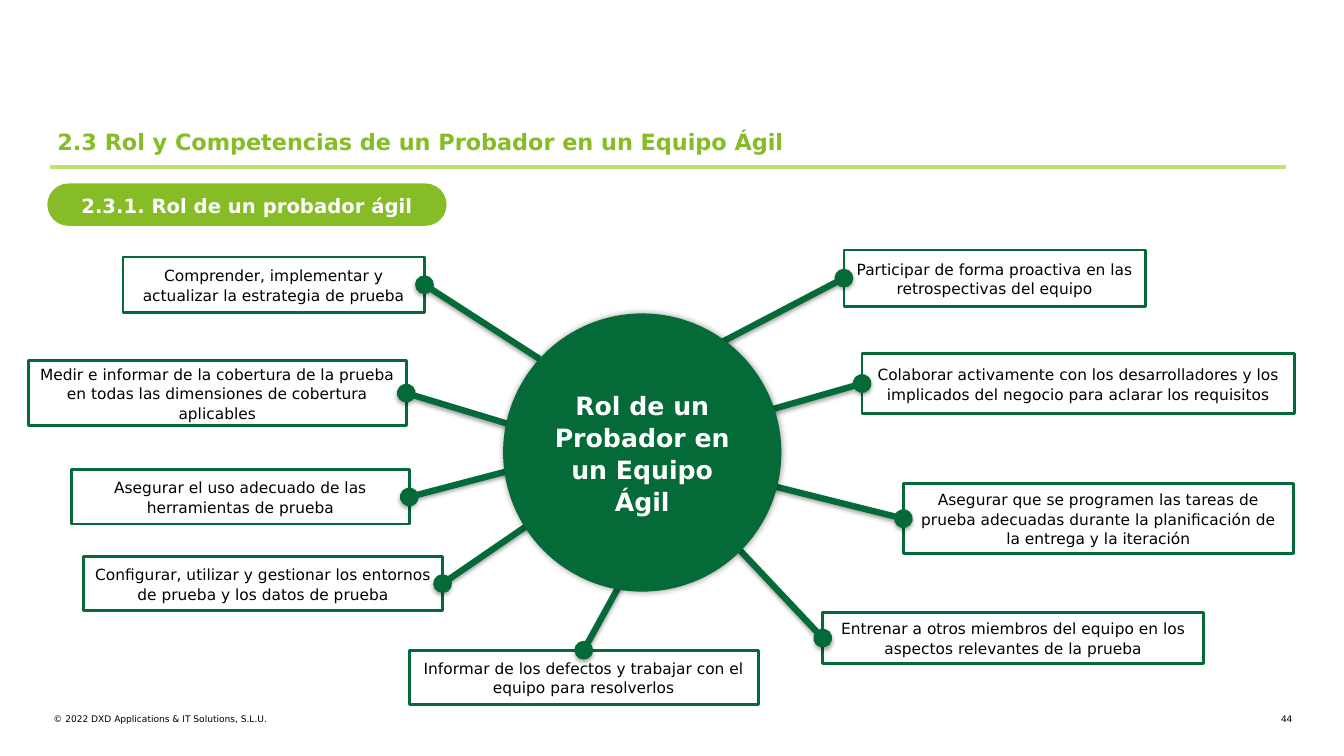
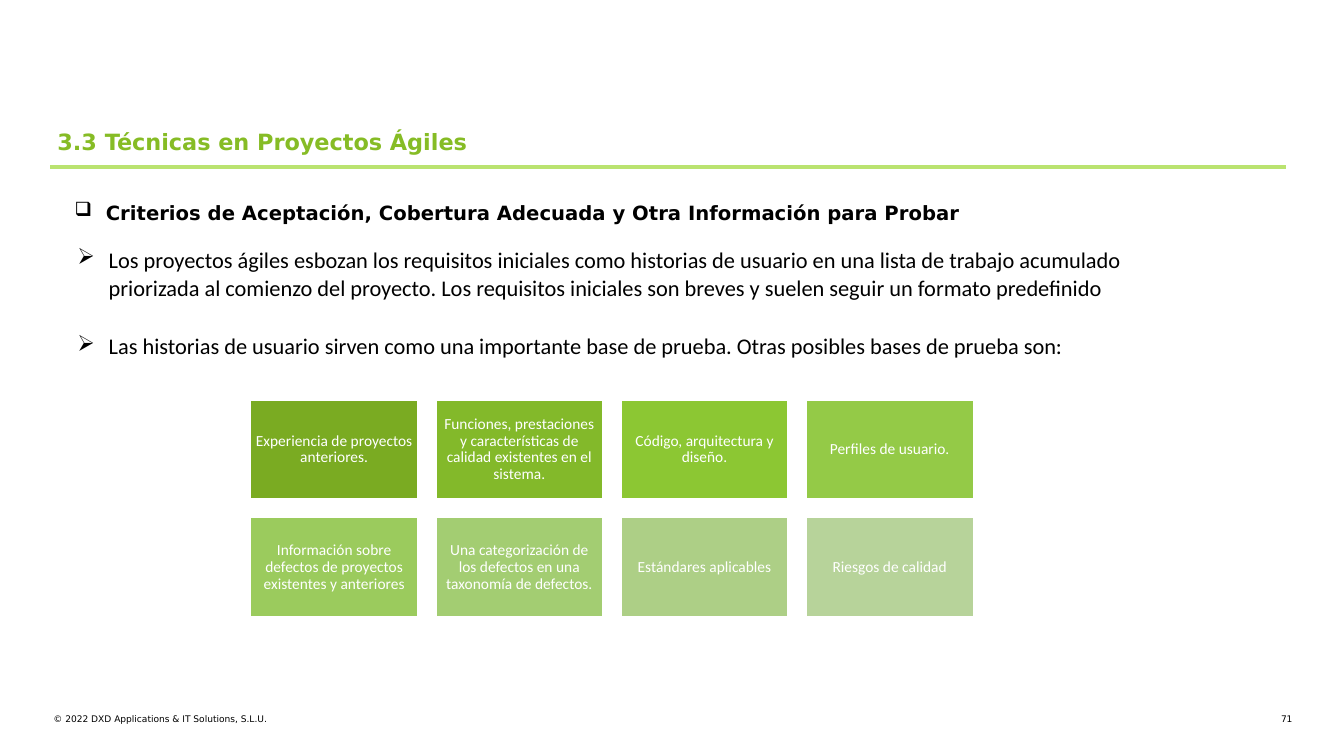
from pptx import Presentation
from pptx.dml.color import RGBColor
from pptx.enum.shapes import MSO_CONNECTOR, MSO_SHAPE
from pptx.enum.text import MSO_ANCHOR, MSO_AUTO_SIZE, PP_ALIGN
from pptx.oxml.ns import qn
from pptx.util import Pt
from lxml.etree import SubElement

PX = 9144  # EMU per px, 100 px to the inch
COLORS = {
    "white": "FFFFFF", "black": "000000", "lime": "86BC25",
    "rule": "BAE370", "forest": "046A38",
}
TILE_FILLS = ["7AAB22", "83B92A", "8CC733", "94CA47",
              "9BCB5D", "A3CD72", "ADCF86", "B7D39A"]
SANS, BODY = "DejaVu Sans", "Calibri"
CENTER = {"alignment": PP_ALIGN.CENTER, "line_spacing": 1.06}
TITLE_FONT = {"name": SANS, "size": Pt(16), "bold": True}
FOOTER_FONT = {"name": SANS, "size": Pt(6.5)}
LABEL_FONT = {"name": SANS, "size": Pt(11)}
HEAD_FONT = {"name": SANS, "size": Pt(14), "bold": True}
HUB_FONT = {"name": SANS, "size": Pt(18), "bold": True}
TILE_FONT = {"name": BODY, "size": Pt(11)}
BODY_FONT = {"name": BODY, "size": Pt(16)}


def emu(*lengths):
    return [round(v * PX) for v in lengths]


def rgb(color):
    return RGBColor.from_string(COLORS.get(color, color))


def apply(target, formats):
    for name, value in formats.items():
        setattr(target, name, value)


def set_frame(sp, inset, anchor):
    x, y = emu(*inset)
    apply(sp.text_frame, {
        "word_wrap": True, "auto_size": MSO_AUTO_SIZE.NONE,
        "vertical_anchor": anchor, "margin_left": x, "margin_right": x,
        "margin_top": y, "margin_bottom": y,
    })
    return sp.text_frame


def write(p, text, font, color, para=None):
    apply(p, para or {})
    r = p.add_run()
    r.text = text
    apply(r.font, font)
    r.font.color.rgb = rgb(color)


def add_text(s, box, text, font, color="black", para=None, inset=(0, 0)):
    sp = s.shapes.add_textbox(*emu(*box))
    tf = set_frame(sp, inset, MSO_ANCHOR.TOP)
    write(tf.paragraphs[0], text, font, color, para)
    return tf


def add_block(s, kind, box, text, font, color, fill, line=None, inset=10,
              para=CENTER):
    sp = s.shapes.add_shape(kind, *emu(*box))
    sp.shadow.inherit = False
    sp.fill.solid()
    sp.fill.fore_color.rgb = rgb(fill)
    if line:
        sp.line.color.rgb = rgb(line)
        sp.line.width = Pt(2)
    else:
        sp.line.fill.background()
    tf = set_frame(sp, (inset, inset), MSO_ANCHOR.MIDDLE)
    write(tf.paragraphs[0], text, font, color, para)
    return sp


def add_line(s, start, end, color, width):
    c = s.shapes.add_connector(MSO_CONNECTOR.STRAIGHT, *emu(*start, *end))
    c.line.color.rgb = rgb(color)
    c.line.width = Pt(width)
    SubElement(c.element.spPr, qn("a:effectLst"))
    return c


def set_shadow(sp, blur, dist, angle, alpha):
    effects = sp.element.spPr.find(qn("a:effectLst"))
    shadow = SubElement(effects, qn("a:outerShdw"), blurRad=str(Pt(blur)),
                        dist=str(Pt(dist)), dir=str(angle * 60000),
                        algn="ctr", rotWithShape="0")
    tint = SubElement(shadow, qn("a:srgbClr"), val=COLORS["black"])
    SubElement(tint, qn("a:alpha"), val=str(alpha * 1000))


def set_bullet(p, char, margin, hang):
    left, indent = emu(margin, -hang)
    pPr = p._p.get_or_add_pPr()
    pPr.set("marL", str(left))
    pPr.set("indent", str(indent))
    SubElement(pPr, qn("a:buChar"), char=char)


def new_slide(prs, title, number):
    """Slide with the shared title, rule and footer."""
    s = prs.slides.add_slide(prs.slide_layouts[5])
    sp = s.shapes.title
    sp.left, sp.top, sp.width, sp.height = emu(47, 122, 1228, 37)
    tf = set_frame(sp, (10, 5), MSO_ANCHOR.MIDDLE)
    write(tf.paragraphs[0], title, TITLE_FONT, "lime",
          {"alignment": PP_ALIGN.LEFT})
    add_line(s, (50, 166), (1275, 166), "rule", 3)
    add_text(s, (53, 708, 586, 11),
             "© 2022 DXD Applications & IT Solutions, S.L.U.", FOOTER_FONT)
    add_text(s, (1248, 708, 34, 11), number, FOOTER_FONT,
             para={"alignment": PP_ALIGN.RIGHT})
    return s


def add_role_map(s, hub, hub_text, roles):
    """Role labels joined by spokes to a central circle."""
    sites = {"top": 0, "left": 1, "right": 3}
    labels = [add_block(s, MSO_SHAPE.RECTANGLE, box, text, LABEL_FONT,
                        "black", "white", "forest")
              for box, text, _, _ in roles]
    x, y, w, h = hub
    for label, (_, _, (dx, dy), side) in zip(labels, roles):
        start = (x + w // 2 + dx, y + h // 2 + dy)
        c = add_line(s, start, start, "forest", 4.5)
        c.end_connect(label, sites[side])
        SubElement(c.line._get_or_add_ln(), qn("a:tailEnd"), type="oval")
        set_shadow(c, 3.1, 1.8, 90, 35)
    circle = add_block(s, MSO_SHAPE.OVAL, hub, hub_text, HUB_FONT,
                       "white", "forest")
    set_shadow(circle, 5, 0, 0, 40)


def add_bullets(s, box, items):
    tf = add_text(s, box, items[0], BODY_FONT, para={"line_spacing": 1.07},
                  inset=(10, 5))
    for item in items[1:]:
        write(tf.add_paragraph(), item, BODY_FONT, "black",
              {"line_spacing": 1.07, "space_before": Pt(21)})
    for p in tf.paragraphs:
        set_bullet(p, "➢", 31, 31)


def add_tiles(s, box, texts, cols=4, w=167, h=100):
    """Grid of tiles spread evenly over the box."""
    x, y, width, height = box
    rows = len(texts) // cols
    step_x = (width - w) / (cols - 1)
    step_y = (height - h) / (rows - 1)
    for i, (text, fill) in enumerate(zip(texts, TILE_FILLS)):
        row, col = divmod(i, cols)
        add_block(s, MSO_SHAPE.RECTANGLE,
                  (x + col * step_x, y + row * step_y, w, h), text,
                  TILE_FONT, "white", fill, "white", 5,
                  {"alignment": PP_ALIGN.CENTER, "line_spacing": 0.9})


def role_slide(prs):
    s = new_slide(prs, "2.3 Rol y Competencias de un Probador en un Equipo Ágil",
                  "44")
    pill = add_block(s, MSO_SHAPE.ROUNDED_RECTANGLE, (47, 182, 396, 42),
                     "2.3.1. Rol de un probador ágil", HEAD_FONT, "white", "lime")
    pill.adjustments[0] = 0.5
    # Label box, text, spoke start from the hub centre, side it reaches
    roles = [
        ((122, 255, 299, 55),
         "Comprender, implementar y actualizar la estrategia de prueba",
         (-102, -93), "right"),
        ((28, 358, 375, 64),
         "Medir e informar de la cobertura de la prueba en todas las "
         "dimensiones de cobertura aplicables", (-115, -23), "right"),
        ((71, 466, 335, 54),
         "Asegurar el uso adecuado de las herramientas de prueba",
         (-128, 17), "right"),
        ((83, 552, 356, 54),
         "Configurar, utilizar y gestionar los entornos de prueba y los "
         "datos de prueba", (-96, 60), "right"),
        ((406, 645, 346, 54),
         "Informar de los defectos y trabajar con el equipo para resolverlos",
         (-15, 118), "top"),
        ((837, 248, 299, 56),
         "Participar de forma proactiva en las retrospectivas del equipo",
         (49, -94), "left"),
        ((855, 351, 429, 59),
         "Colaborar activamente con los desarrolladores y los implicados "
         "del negocio para aclarar los requisitos", (115, -39), "left"),
        ((896, 480, 387, 69),
         "Asegurar que se programen las tareas de prueba adecuadas durante "
         "la planificación de la entrega y la iteración", (105, 27), "left"),
        ((816, 608, 378, 50),
         "Entrenar a otros miembros del equipo en los aspectos relevantes "
         "de la prueba", (97, 97), "left"),
    ]
    add_role_map(s, (499, 311, 276, 276),
                 "Rol de un Probador en un Equipo Ágil", roles)


def techniques_slide(prs):
    s = new_slide(prs, "3.3 Técnicas en Proyectos Ágiles", "71")
    tf = add_text(s, (44, 199, 1213, 24),
                  "Criterios de Aceptación, Cobertura Adecuada y Otra "
                  "Información para Probar", HEAD_FONT)
    set_bullet(tf.paragraphs[0], "❑", 61, 31)
    add_bullets(s, (67, 237, 1142, 153), [
        "Los proyectos ágiles esbozan los requisitos iniciales como historias "
        "de usuario en una lista de trabajo acumulado priorizada al comienzo "
        "del proyecto. Los requisitos iniciales son breves y suelen seguir un "
        "formato predefinido",
        "Las historias de usuario sirven como una importante base de prueba. "
        "Otras posibles bases de prueba son:",
    ])
    add_tiles(s, (248, 396, 718, 217), [
        "Experiencia de proyectos anteriores.",
        "Funciones, prestaciones y características de calidad existentes en "
        "el sistema.",
        "Código, arquitectura y diseño.",
        "Perfiles de usuario.",
        "Información sobre defectos de proyectos existentes y anteriores",
        "Una categorización de los defectos en una taxonomía de defectos.",
        "Estándares aplicables",
        "Riesgos de calidad",
    ])


def main():
    prs = Presentation()
    prs.slide_width, prs.slide_height = emu(1333, 750)
    role_slide(prs)
    techniques_slide(prs)
    prs.save("out.pptx")


if __name__ == "__main__":
    main()
